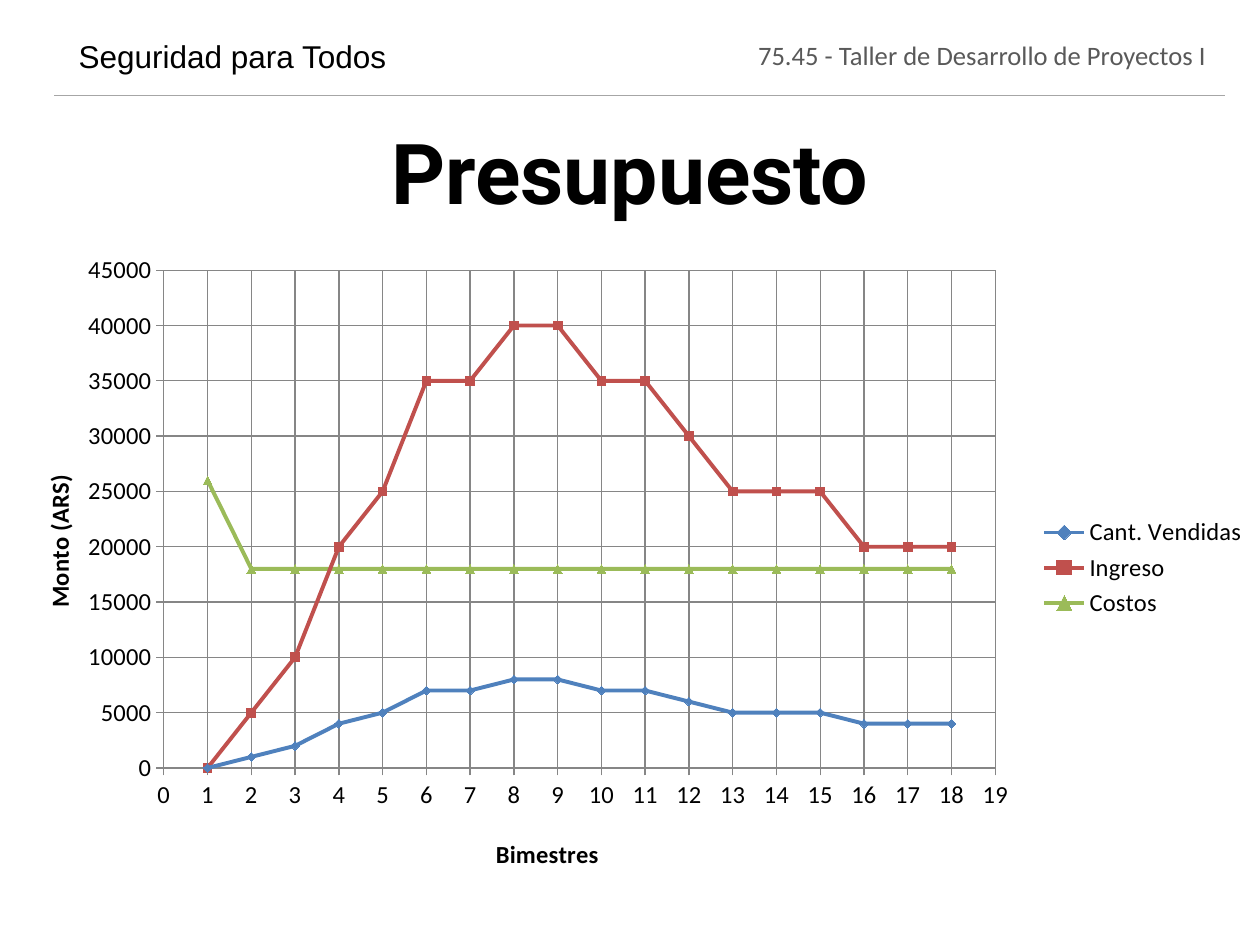
from pptx import Presentation
from pptx.chart.data import XyChartData
from pptx.dml.color import RGBColor
from pptx.enum.chart import XL_CHART_TYPE, XL_LEGEND_POSITION, XL_MARKER_STYLE, XL_TICK_MARK
from pptx.enum.shapes import MSO_CONNECTOR
from pptx.enum.text import MSO_ANCHOR, PP_ALIGN
from pptx.oxml.ns import qn
from pptx.util import Pt
from lxml.etree import SubElement

COLORS = {"text": "000000", "muted": "595959", "rule": "A6A6A6", "grid": "868686",
          "blue": "4F81BD", "red": "C0504D", "green": "9BBB59"}
TEXTS = [
    ("Seguridad para Todos", (25.2, 20.9, 215.3, 22.3), "Arial", 18, False, "text", MSO_ANCHOR.MIDDLE),
    ("75.45 - Taller de Desarrollo de Proyectos I", (405.4, 18.7, 311.8, 30.2),
     "Calibri", 15.2, False, "muted", MSO_ANCHOR.TOP),
    ("Presupuesto", (79.9, 66.2, 560.2, 62.6), "Roboto", 48, True, "text", MSO_ANCHOR.MIDDLE),
]
SOLD = [0, 1000, 2000, 4000, 5000, 7000, 7000, 8000, 8000,
        7000, 7000, 6000, 5000, 5000, 5000, 4000, 4000, 4000]
SERIES = [
    ("Cant. Vendidas", SOLD, "blue", XL_MARKER_STYLE.DIAMOND),
    ("Ingreso", [5 * n for n in SOLD], "red", XL_MARKER_STYLE.SQUARE),
    ("Costos", [26000] + [18000] * 17, "green", XL_MARKER_STYLE.TRIANGLE),
]
AXES = [
    ("Bimestres", 19, 1, 0, {"x": 0.39, "y": 0.91}),
    ("Monto (ARS)", 45000, 5000, -5400000, {"x": 0.03, "y": 0.35}),
]
PLOT = {"x": 0.13, "y": 0.04, "w": 0.66, "h": 0.77}


def rgb(name):
    return RGBColor.from_string(COLORS[name])


def add_text(slide, text, box, font, size, bold, color, anchor):
    tf = slide.shapes.add_textbox(*map(Pt, box)).text_frame
    tf.word_wrap = True
    tf.vertical_anchor = anchor
    tf.text = text
    p = tf.paragraphs[0]
    p.alignment = PP_ALIGN.CENTER
    f = p.runs[0].font
    f.name, f.size, f.bold = font, Pt(size), bold
    f.color.rgb = rgb(color)


def set_layout(parent, place, index, inner=False):
    layout = parent.find(qn("c:layout"))
    if layout is None:
        layout = SubElement(parent, qn("c:layout"))
        parent.insert(index, layout)
    manual = SubElement(layout, qn("c:manualLayout"))
    if inner:
        SubElement(manual, qn("c:layoutTarget")).set("val", "inner")
    for key in ("x", "y"):
        SubElement(manual, qn(f"c:{key}Mode")).set("val", "edge")
    for key, value in place.items():
        SubElement(manual, qn(f"c:{key}")).set("val", str(value))


def format_axis(axis, title, top, step, rotation, place):
    axis.minimum_scale, axis.maximum_scale, axis.major_unit = 0, top, step
    axis.major_tick_mark = XL_TICK_MARK.CROSS
    axis.has_major_gridlines = True
    for line in (axis.format.line, axis.major_gridlines.format.line):
        line.color.rgb = rgb("grid")
        line.width = Pt(0.75)
    axis.tick_labels.font.size = Pt(14)
    axis.tick_labels.number_format = "General"
    axis.tick_labels.number_format_is_linked = False
    tf = axis.axis_title.text_frame
    tf.text = title
    f = tf.paragraphs[0].runs[0].font
    f.name, f.size, f.bold = "Calibri", Pt(14), True
    f.color.rgb = rgb("text")
    body = tf._txBody.find(qn("a:bodyPr"))
    body.set("rot", str(rotation))
    body.set("vert", "horz")
    set_layout(axis.axis_title._element, place, 1)


def add_budget_chart(slide):
    data = XyChartData()
    for name, values, *_ in SERIES:
        series = data.add_series(name)
        for x, y in enumerate(values, 1):
            series.add_data_point(x, y)
    chart = slide.shapes.add_chart(XL_CHART_TYPE.XY_SCATTER_SMOOTH, 0, Pt(139.7),
                                   Pt(720), Pt(369.4), data).chart
    chart.has_title = False
    chart.font.name, chart.font.size = "Calibri", Pt(10)
    chart.font.color.rgb = rgb("text")
    chart.has_legend = True
    chart.legend.position = XL_LEGEND_POSITION.RIGHT
    chart.legend.include_in_layout = False
    chart.legend.font.size = Pt(14)
    plot = chart.plots[0]
    plot.vary_by_categories = False
    for series, (_, _, color, style) in zip(plot.series, SERIES):
        series.smooth = True
        series.format.line.color.rgb = rgb(color)
        series.format.line.width = Pt(2.25)
        marker = series.marker
        marker.style, marker.size = style, 5
        marker.format.fill.solid()
        marker.format.fill.fore_color.rgb = rgb(color)
        marker.format.line.color.rgb = rgb(color)
    for axis, settings in zip((chart.category_axis, chart.value_axis), AXES):
        format_axis(axis, *settings)
    set_layout(chart._chartSpace.chart.plotArea, PLOT, 0, inner=True)


def main():
    prs = Presentation()
    prs.slide_width, prs.slide_height = Pt(720), Pt(540)
    slide = prs.slides.add_slide(prs.slide_layouts[6])
    for item in TEXTS:
        add_text(slide, *item)
    rule = slide.shapes.add_connector(MSO_CONNECTOR.STRAIGHT, Pt(31), Pt(54.7), Pt(699.8), Pt(54.7))
    rule.line.color.rgb = rgb("rule")
    rule.line.width = Pt(0.75)
    SubElement(rule._element.spPr, qn("a:effectLst"))
    add_budget_chart(slide)
    prs.save("out.pptx")


if __name__ == "__main__":
    main()
